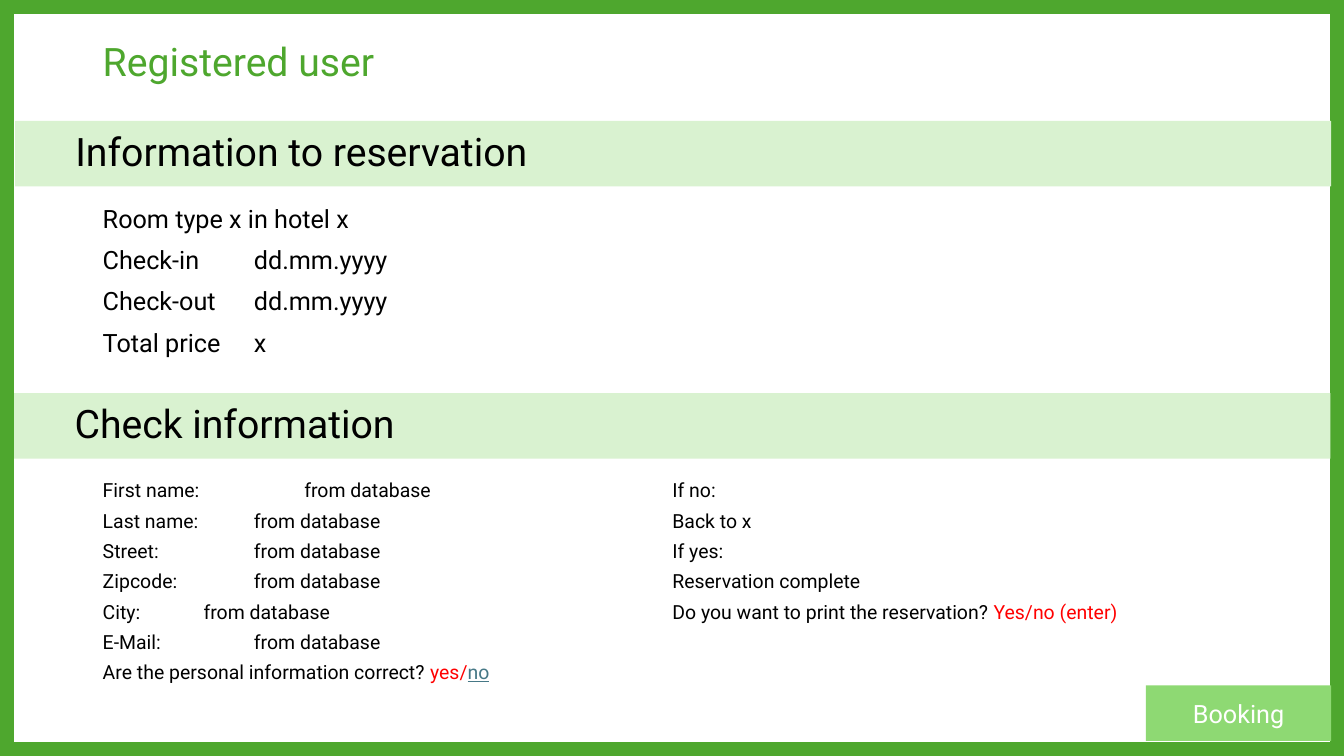
from pptx import Presentation
from pptx import util as u
from pptx.dml import color
from pptx.enum import shapes, text

GREEN, LEAF, MINT = "4EA72E", "8ED973", "D9F2D0"
BLACK, WHITE, RED, LINK = "000000", "FFFFFF", "FF0000", "467886"
WIDTH, HEIGHT = 33.87, 19.05
MARGIN, CONTENT_WIDTH = 2.34, 29.21


def rgb(value):
    """Turn a hex string into a colour."""
    return color.RGBColor.from_string(value)


def apply(target, formats):
    """Set every attribute named in formats on target."""
    for name, value in formats.items():
        setattr(target, name, value)


class BookingSlide:
    """Hold the style and the slide, and draw its elements."""

    font = "Roboto"

    def __init__(self, deck):
        """Add a blank slide to the deck."""
        self.slide = deck.slides.add_slide(deck.slide_layouts[6])

    def fill_text(self, frame, lines, size, ink=BLACK, columns=1,
                  anchor=text.MSO_ANCHOR.TOP, **paragraph_format):
        """Fill a text frame with lines, each a string or (words, format) pairs."""
        apply(frame, {"word_wrap": True, "vertical_anchor": anchor})
        if columns > 1:
            frame._txBody.bodyPr.set("numCol", str(columns))
        for number, line in enumerate(lines):
            paragraph = frame.add_paragraph() if number else frame.paragraphs[0]
            apply(paragraph, {"alignment": text.PP_ALIGN.LEFT, **paragraph_format})
            for words, formats in [(line, {})] if isinstance(line, str) else line:
                run = paragraph.add_run()
                run.text = words
                style = {"name": self.font, "size": u.Pt(size), **formats}
                run.font.color.rgb = rgb(style.pop("ink", ink))
                apply(run.font, style)

    def textbox(self, place, lines, size, **style):
        """Add a text box at place."""
        box = self.slide.shapes.add_textbox(*map(u.Cm, place))
        self.fill_text(box.text_frame, lines, size, **style)

    def panel(self, place, fill, lines, size, **style):
        """Add a filled rectangle with text."""
        panel = self.rectangle(place)
        panel.fill.solid()
        panel.fill.fore_color.rgb = rgb(fill)
        panel.line.fill.background()
        self.fill_text(panel.text_frame, lines, size,
                       anchor=text.MSO_ANCHOR.MIDDLE, **style)

    def border(self, ink, weight):
        """Outline the whole slide."""
        frame = self.rectangle((0, 0, WIDTH, HEIGHT))
        frame.fill.background()
        frame.line.color.rgb = rgb(ink)
        frame.line.width = u.Pt(weight)

    def rectangle(self, place):
        """Add a rectangle without a shadow."""
        shape = self.slide.shapes.add_shape(
            shapes.MSO_SHAPE.RECTANGLE, *map(u.Cm, place))
        shape.shadow.inherit = False
        return shape


def main():
    """Build and save the slide."""
    deck = Presentation()
    apply(deck, {"slide_width": u.Cm(WIDTH), "slide_height": u.Cm(HEIGHT)})
    booking = BookingSlide(deck)
    spaced = {"line_spacing": 0.9, "space_before": u.Pt(10)}
    dense = {**spaced, "line_spacing": 0.7}

    booking.border(GREEN, 20)
    booking.panel((28.88, 17.27, 4.67, 1.4), LEAF, ["Booking"], 18,
                  ink=WHITE, alignment=text.PP_ALIGN.CENTER)
    booking.textbox((MARGIN, 0.79, CONTENT_WIDTH, 1.65), ["Registered user"], 28,
                    ink=GREEN, anchor=text.MSO_ANCHOR.MIDDLE, line_spacing=0.9)

    for left, top, heading in [(0.38, 3.05, "Information to reservation"),
                               (0.36, 9.91, "Check information")]:
        booking.panel((left, top, 33.17, 1.65), MINT, ["\t" + heading], 28, **spaced)

    reservation = ["Room type x in hotel x", "Check-in\t\tdd.mm.yyyy",
                   "Check-out\tdd.mm.yyyy", "Total price\tx"]
    booking.textbox((MARGIN, 5.08, CONTENT_WIDTH, 4.32), reservation, 18,
                    columns=2, **spaced)

    fields = ["First name: ", "Last name:", "Street:", "Zipcode:", "City:", "E-Mail:"]
    check = [field + "\t\tfrom database" for field in fields] + [
        [("Are the personal information correct? ", {}), ("yes/", {"ink": RED}),
         ("no", {"ink": LINK, "underline": True})],
        "If no:", "Back to x", "If yes:", "Reservation complete",
        [("Do you want to print the reservation? ", {}),
         ("Yes/no (enter)", {"ink": RED})]]
    booking.textbox((MARGIN, 12.09, CONTENT_WIDTH, 5.33), check, 13.9,
                    columns=2, **dense)

    deck.save("out.pptx")


if __name__ == "__main__":
    main()
